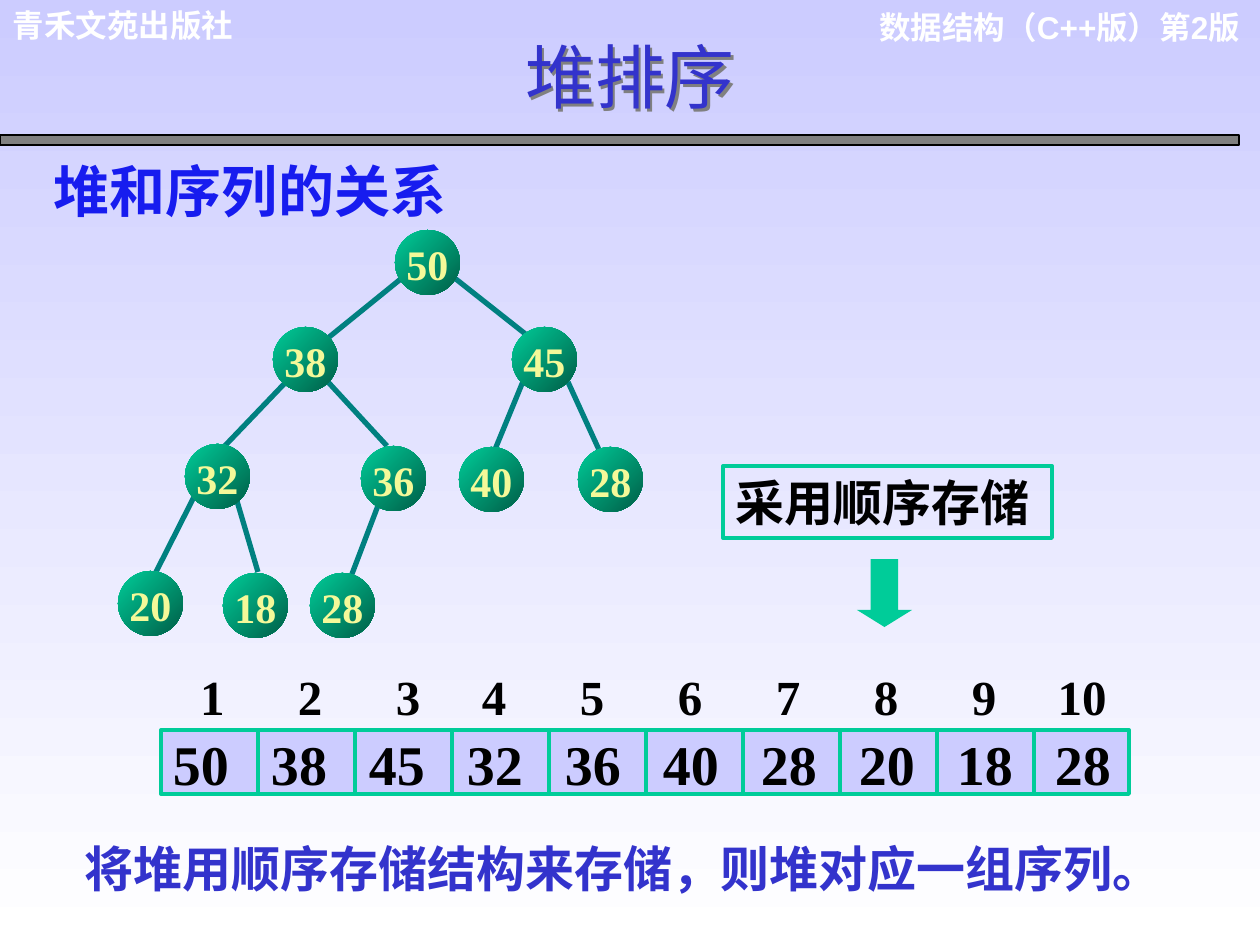
import pptx
import pptx.util
import pptx.dml.color
import pptx.enum.shapes
import pptx.enum.text
import pptx.oxml
import pptx.oxml.ns
import lxml.etree as etree

RGB = pptx.dml.color.RGBColor
SHAPE = pptx.enum.shapes.MSO_SHAPE
ALIGN = pptx.enum.text.PP_ALIGN
ANCHOR = pptx.enum.text.MSO_ANCHOR
qn = pptx.oxml.ns.qn
PX = 914400 / 126

WHITE = RGB(0xFF, 0xFF, 0xFF)
BLACK = RGB(0, 0, 0)
GREY = RGB(0x80, 0x80, 0x80)
LAVENDER = RGB(0xCC, 0xCC, 0xFF)
INDIGO = RGB(0x33, 0x33, 0xCC)
BLUE = RGB(0x17, 0x1C, 0xEF)
GREEN = RGB(0x00, 0xCC, 0x99)
DARK_GREEN = RGB(0x00, 0x5E, 0x47)
TEAL = RGB(0x00, 0x80, 0x80)
YELLOW = RGB(0xF4, 0xF9, 0x99)
SERIF = "Times New Roman"
CJK = "Noto Sans CJK SC"


def write(sp, text, size, color, font=SERIF, bold=True, align=ALIGN.LEFT,
          anchor=ANCHOR.TOP, inset=(13, 6, 13, 6), wrap=True, tabs=(), tab_align="l"):
    """Fill a shape with one formatted paragraph; inset and tabs are in px."""
    tf = sp.text_frame
    tf.word_wrap = wrap
    tf.vertical_anchor = anchor
    tf.margin_left, tf.margin_top, tf.margin_right, tf.margin_bottom = [
        int(n * PX) for n in inset]
    p = tf.paragraphs[0]
    p.alignment = align
    if tabs:
        tab_list = etree.SubElement(p._p.get_or_add_pPr(), qn("a:tabLst"))
        for pos in tabs:
            etree.SubElement(tab_list, qn("a:tab"), pos=str(int(pos * PX)), algn=tab_align)
    r = p.add_run()
    r.text = text
    r.font.name, r.font.size, r.font.bold = font, pptx.util.Pt(size), bold
    r.font.color.rgb = color
    etree.SubElement(r._r.get_or_add_rPr(), qn("a:ea"), typeface=CJK)


def draw_line(x1, y1, x2, y2, color, width):
    ln = s.shapes.add_connector(pptx.enum.shapes.MSO_CONNECTOR.STRAIGHT,
                                *[int(n * PX) for n in (x1, y1, x2, y2)])
    ln.line.color.rgb = color
    ln.line.width = pptx.util.Pt(width)
    etree.SubElement(ln._element.spPr, qn("a:effectLst"))


prs = pptx.Presentation()
prs.slide_width, prs.slide_height = int(1260 * PX), int(945 * PX)
s = prs.slides.add_slide(prs.slide_layouts[5])

# Background, lavender at the top to white at the bottom
fill = s.background.fill
fill.gradient()
fill.gradient_angle = 270
fill.gradient_stops[0].color.rgb = LAVENDER
fill.gradient_stops[1].color.rgb = WHITE

# Title; with no fill, its shadow falls from the text
sp = s.shapes.title
sp.left, sp.top, sp.width, sp.height = [int(n * PX) for n in (0, 32, 1260, 92)]
write(sp, "堆排序", 40, INDIGO, font=CJK, bold=False, align=ALIGN.CENTER,
      anchor=ANCHOR.BOTTOM)
sp.fill.background()
sp.line.fill.background()
effects = etree.SubElement(sp._element.spPr, qn("a:effectLst"))
shadow = etree.SubElement(effects, qn("a:outerShdw"), dist="25400", dir="2700000")
etree.SubElement(shadow, qn("a:srgbClr"), val=str(GREY))

# Header, heading and conclusion
for x, y, w, h, text, size, color, font, align in [
    (853, 2, 400, 88, "数据结构（C++版）第2版", 18, WHITE, "Arial", ALIGN.RIGHT),
    (0, 0, 341, 50, "青禾文苑出版社", 18, WHITE, "Arial", ALIGN.LEFT),
    (41, 150, 503, 81, "堆和序列的关系", 32, BLUE, SERIF, ALIGN.LEFT),
    (72, 832, 1147, 72, "将堆用顺序存储结构来存储，则堆对应一组序列。", 28, INDIGO,
     "Arial", ALIGN.LEFT),
]:
    sp = s.shapes.add_textbox(*[int(n * PX) for n in (x, y, w, h)])
    write(sp, text, size, color, font=font, align=align)

# Plain shapes: header bar, storage label, arrow, array frame
shapes = {}
for name, kind, box, color, outline, width in [
    ("bar", SHAPE.RECTANGLE, (0, 135, 1239, 10), GREY, BLACK, 0.75),
    ("label", SHAPE.RECTANGLE, (723, 466, 329, 72), None, GREEN, 2.25),
    ("arrow", SHAPE.DOWN_ARROW, (857, 559, 55, 68), GREEN, None, 0),
    ("array", SHAPE.RECTANGLE, (161, 730, 968, 64), LAVENDER, GREEN, 2.25),
]:
    sp = shapes[name] = s.shapes.add_shape(kind, *[int(n * PX) for n in box])
    sp.shadow.inherit = False
    if color is None:
        sp.fill.background()
    else:
        sp.fill.solid()
        sp.fill.fore_color.rgb = color
    if outline is None:
        sp.line.fill.background()
    else:
        sp.line.color.rgb = outline
        sp.line.width = pptx.util.Pt(width)
shapes["arrow"].adjustments[1] = 0.31
write(shapes["label"], "采用顺序存储", 28, BLACK)

# Array: values, cell dividers and index row
heap = [50, 38, 45, 32, 36, 40, 28, 20, 18, 28]
write(shapes["array"], "\t".join(str(v) for v in heap), 32, BLACK,
      inset=(12, 0, 0, 0), tabs=[98 * i for i in range(1, 10)])
for i in range(1, 10):
    draw_line(161 + 97 * i, 730, 161 + 97 * i, 792, GREEN, 2.25)
sp = s.shapes.add_textbox(*[int(n * PX) for n in (187, 667, 953, 59)])
write(sp, "\t".join(str(i) for i in range(1, 11)), 28, BLACK, inset=(13, 0, 13, 0),
      tabs=[98 * i + (12 if i < 3 else 0) for i in range(1, 10)], tab_align="ctr")

# Tree edges
for edge in [(402, 278, 328, 338), (452, 276, 528, 336), (286, 382, 219, 452),
             (328, 382, 387, 446), (195, 495, 154, 576), (237, 501, 258, 572),
             (379, 503, 344, 595), (524, 379, 494, 452), (568, 382, 600, 452)]:
    draw_line(*edge, TEAL, 3)

# Tree nodes in level order
corners = [(395, 230), (273, 327), (512, 327), (185, 444), (361, 446),
           (459, 447), (578, 447), (118, 571), (223, 573), (310, 573)]
for value, (x, y) in zip(heap, corners):
    sp = s.shapes.add_shape(SHAPE.OVAL, *[int(n * PX) for n in (x, y, 65, 65)])
    sp.shadow.inherit = False
    sp.line.fill.background()
    sp.fill.gradient()
    sp.fill.gradient_angle = 315
    sp.fill.gradient_stops[0].color.rgb = GREEN
    sp.fill.gradient_stops[1].color.rgb = DARK_GREEN
    write(sp, str(value), 24, YELLOW, align=ALIGN.CENTER, anchor=ANCHOR.MIDDLE,
          inset=(0, 3, 0, 0), wrap=False)

prs.save("out.pptx")
